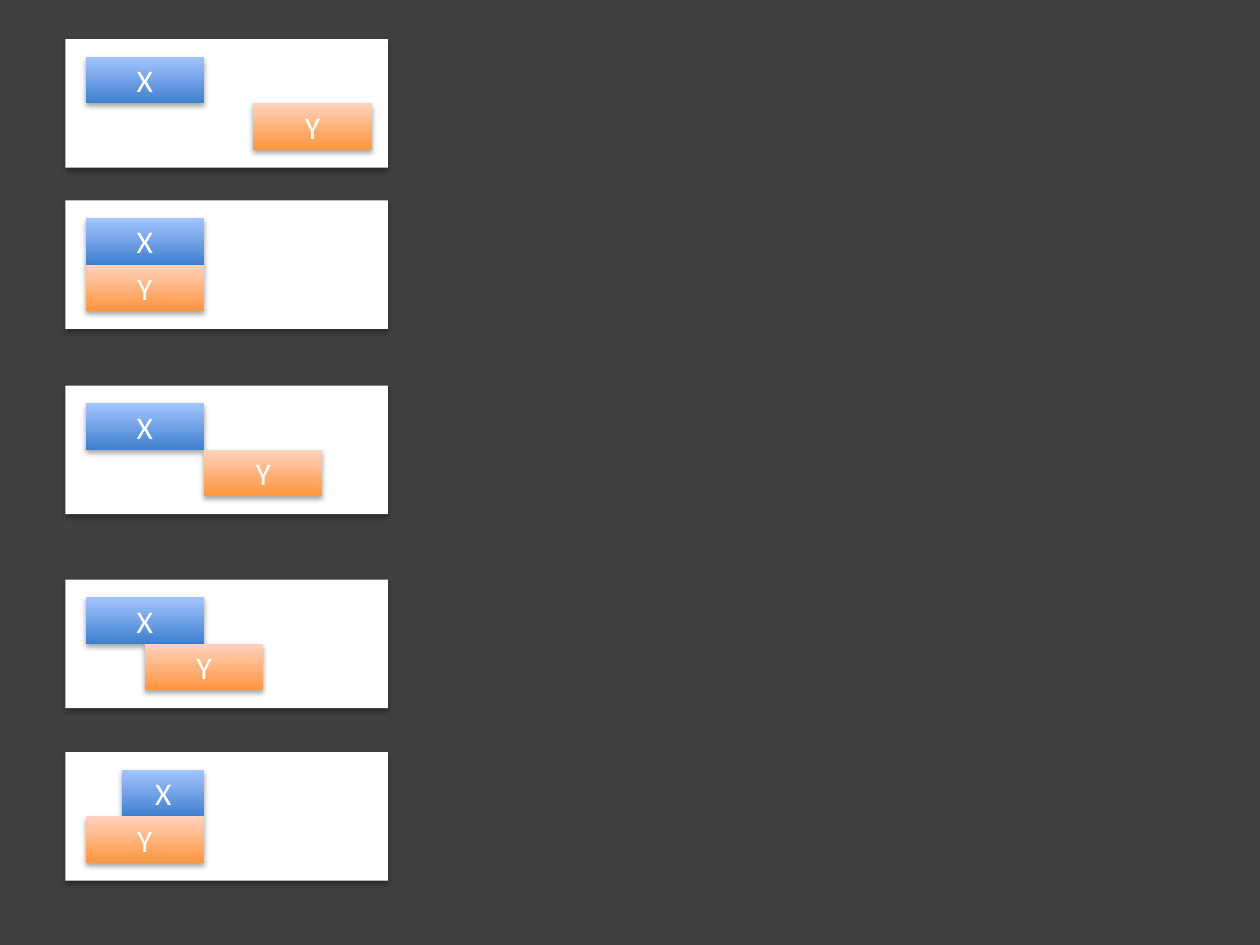
import dataclasses

import lxml.etree
import pptx
import pptx.dml.color
import pptx.enum.shapes
import pptx.enum.text
import pptx.oxml.ns
import pptx.util

Inches = pptx.util.Inches


@dataclasses.dataclass(frozen=True)
class Theme:
    background: str = "404040"
    panel: str = "FFFFFF"
    text: str = "FFFFFF"
    shadow: str = "000000"
    x_bar: tuple = ("3F80CE", "A4C4FF")  # bottom, top
    y_bar: tuple = ("FF953E", "FFD2BD")
    font: str = "Calibri"
    label_size: int = 18


THEME = Theme()

PANEL_LEFT, PANEL_WIDTH, PANEL_HEIGHT = 0.52, 2.56, 1.02
BAR_WIDTH, BAR_HEIGHT = 0.94, 0.37
PAD_X, PAD_Y = 0.16, 0.14

# Panel top, then (offset, width) of X and of Y from the padded left edge
RELATIONS = [
    (0.31, (0, BAR_WIDTH), (1.33, BAR_WIDTH)),            # X before Y
    (1.59, (0, BAR_WIDTH), (0, BAR_WIDTH)),               # X equals Y
    (3.06, (0, BAR_WIDTH), (BAR_WIDTH, BAR_WIDTH)),       # X meets Y
    (4.60, (0, BAR_WIDTH), (BAR_WIDTH / 2, BAR_WIDTH)),   # X overlaps Y
    (5.97, (0.29, 0.65), (0, BAR_WIDTH)),                 # X finishes Y
]


def rgb(value):
    return pptx.dml.color.RGBColor.from_string(value)


def add_shadow(shape):
    """Give the shape a soft shadow straight below it."""
    shape.shadow.inherit = False
    qn = pptx.oxml.ns.qn
    effects = shape._element.spPr.find(qn("a:effectLst"))
    outer = lxml.etree.SubElement(
        effects, qn("a:outerShdw"), blurRad=str(pptx.util.Pt(3.1)),
        dist=str(pptx.util.Pt(1.8)), dir="5400000", rotWithShape="0")
    color = lxml.etree.SubElement(outer, qn("a:srgbClr"), val=THEME.shadow)
    lxml.etree.SubElement(color, qn("a:alpha"), val="35000")


def add_box(slide, left, top, width, height):
    box = slide.shapes.add_shape(
        pptx.enum.shapes.MSO_SHAPE.RECTANGLE,
        Inches(left), Inches(top), Inches(width), Inches(height))
    box.line.fill.background()
    add_shadow(box)
    return box


def write_text(shape, text, *, size, color, font=THEME.font,
               align=pptx.enum.text.PP_ALIGN.CENTER):
    frame = shape.text_frame
    frame.vertical_anchor = pptx.enum.text.MSO_ANCHOR.MIDDLE
    paragraph = frame.paragraphs[0]
    paragraph.alignment = align
    run = paragraph.add_run()
    run.text = text
    run.font.name = font
    run.font.size = pptx.util.Pt(size)
    run.font.color.rgb = rgb(color)


def add_interval(slide, label, left, top, width, colors):
    """Draw one labelled interval bar with a vertical gradient."""
    bar = add_box(slide, left, top, width, BAR_HEIGHT)
    bar.fill.gradient()
    bar.fill.gradient_angle = 90
    for stop, color in zip(bar.fill.gradient_stops, colors):
        stop.color.rgb = rgb(color)
    write_text(bar, label, size=THEME.label_size, color=THEME.text)


def add_relation(slide, left, top, x_span, y_span):
    """Draw a panel with X above Y, each placed by its span."""
    panel = add_box(slide, left, top, PANEL_WIDTH, PANEL_HEIGHT)
    panel.fill.solid()
    panel.fill.fore_color.rgb = rgb(THEME.panel)
    intervals = [("X", x_span, THEME.x_bar), ("Y", y_span, THEME.y_bar)]
    for row, (label, (offset, width), colors) in enumerate(intervals):
        add_interval(slide, label, left + PAD_X + offset,
                     top + PAD_Y + row * BAR_HEIGHT, width, colors)


def main():
    presentation = pptx.Presentation()
    presentation.slide_width = Inches(10)
    presentation.slide_height = Inches(7.5)
    slide = presentation.slides.add_slide(presentation.slide_layouts[6])

    # Background
    slide.background.fill.solid()
    slide.background.fill.fore_color.rgb = rgb(THEME.background)

    # Interval relations
    for top, x_span, y_span in RELATIONS:
        add_relation(slide, PANEL_LEFT, top, x_span, y_span)

    presentation.save("out.pptx")


main()
